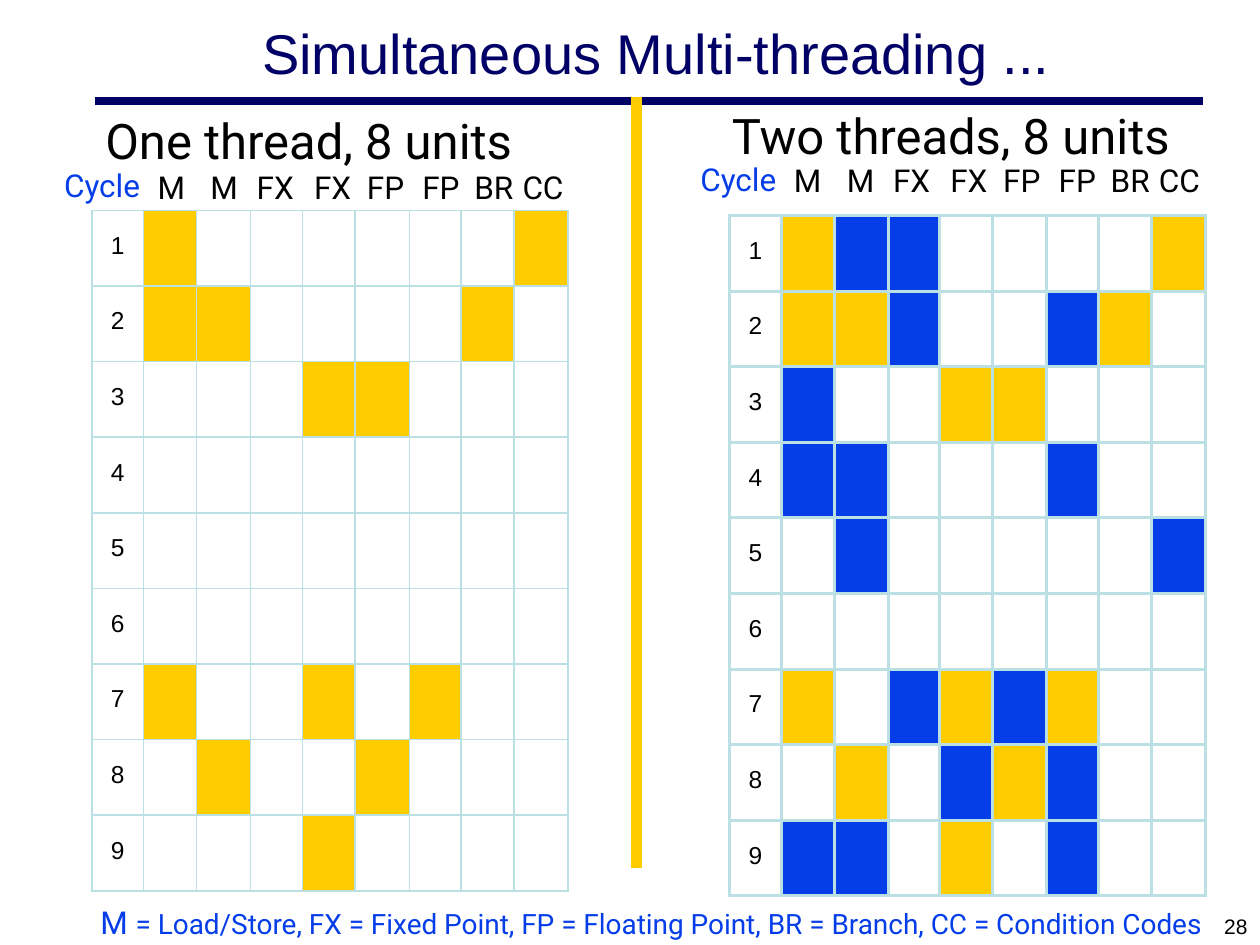
from pptx import Presentation
from pptx.dml.color import RGBColor
from pptx.enum.shapes import MSO_CONNECTOR
from pptx.enum.text import MSO_ANCHOR, PP_ALIGN
from pptx.oxml.ns import qn
from pptx.util import Inches, Pt
from lxml.etree import SubElement

NAVY = RGBColor(0x00, 0x00, 0x66)
BLUE = RGBColor(0x05, 0x3D, 0xE8)
YELLOW = RGBColor(0xFF, 0xCC, 0x00)
PALE = RGBColor(0xBB, 0xE0, 0xE3)
BLACK = RGBColor(0, 0, 0)
WHITE = RGBColor(0xFF, 0xFF, 0xFF)

# One row per cycle, one letter per unit: Y first thread, B second thread
SLOT_FILLS = {"Y": YELLOW, "B": BLUE, ".": WHITE}
ONE_THREAD = ["Y......Y", "YY....Y.", "...YY...", "........", "........",
              "........", "Y..Y.Y..", ".Y..Y...", "...Y...."]
TWO_THREADS = ["YBB....Y", "YYB..BY.", "B..YY...", "BB...B..", ".B.....B",
               "........", "Y.BYBY..", ".Y.BYB..", "BB.Y.B.."]

COLUMN_WIDTHS = [0.41, 0.42, 0.43] * 3
ROW_HEIGHT = 0.6

# Heading, left and width, relative to the left of the "Cycle" heading
UNIT_HEADINGS = [("M", 0.84, 0.34), ("M", 1.26, 0.34), ("FX", 1.61, 0.45),
                 ("FX", 2.05, 0.48), ("FP", 2.47, 0.48), ("FP", 2.91, 0.48),
                 ("BR", 3.3, 0.54), ("CC", 3.71, 0.5)]


def style_font(font, size, color, name):
    font.size, font.name = Pt(size), name
    font.color.rgb = color


def add_label(slide, box, text, size, color=BLACK, name="Roboto",
              align=PP_ALIGN.CENTER, anchor=MSO_ANCHOR.TOP,
              margins=(0, 0), line_spacing=None, wrap=True):
    label = slide.shapes.add_textbox(*map(Inches, box))
    frame = label.text_frame
    frame.word_wrap = wrap
    frame.vertical_anchor = anchor
    frame.margin_left = frame.margin_right = Inches(margins[0])
    frame.margin_top = frame.margin_bottom = Inches(margins[1])
    paragraph = frame.paragraphs[0]
    paragraph.text = text
    paragraph.alignment = align
    if line_spacing:
        paragraph.line_spacing = Pt(line_spacing)
    style_font(paragraph.font, size, color, name)
    return paragraph


def add_rule(slide, start, end, color, width):
    rule = slide.shapes.add_connector(
        MSO_CONNECTOR.STRAIGHT, *map(Inches, start + end))
    rule.line.color.rgb = color
    rule.line.width = Pt(width)
    SubElement(rule.line._get_or_add_ln().getparent(), qn("a:effectLst"))


def set_borders(cell, color, width):
    properties = cell._tc.get_or_add_tcPr()
    for side in ("a:lnL", "a:lnR", "a:lnT", "a:lnB"):
        border = SubElement(properties, qn(side), w=str(Pt(width)))
        fill = SubElement(border, qn("a:solidFill"))
        SubElement(fill, qn("a:srgbClr"), val=str(color))


def fill_cycle_cell(cell, cycle):
    cell.vertical_anchor = MSO_ANCHOR.MIDDLE
    cell.margin_left = cell.margin_right = Inches(0.09)
    cell.margin_top = cell.margin_bottom = Inches(0.04)
    paragraph = cell.text_frame.paragraphs[0]
    paragraph.text = str(cycle)
    paragraph.alignment = PP_ALIGN.CENTER
    paragraph.line_spacing = Pt(13)
    paragraph.space_before = Pt(4)
    style_font(paragraph.font, 14, BLACK, "Arial")


def add_schedule(slide, left, top, cycles, border_width):
    table = slide.shapes.add_table(
        len(cycles), len(COLUMN_WIDTHS), Inches(left), Inches(top),
        Inches(sum(COLUMN_WIDTHS)), Inches(ROW_HEIGHT * len(cycles))).table
    table.first_row = table.horz_banding = False
    for column, width in zip(table.columns, COLUMN_WIDTHS):
        column.width = Inches(width)
    for row, slots in enumerate(cycles):
        table.rows[row].height = Inches(ROW_HEIGHT)
        for column, slot in enumerate("." + slots):
            cell = table.cell(row, column)
            set_borders(cell, PALE, border_width)
            cell.fill.solid()
            cell.fill.fore_color.rgb = SLOT_FILLS[slot]
        fill_cycle_cell(table.cell(row, 0), row + 1)


def add_headings(slide, left, top):
    for unit, offset, width in UNIT_HEADINGS:
        add_label(slide, (left + offset, top, width, 0.3), unit, 18)
    add_label(slide, (left, top - 0.01, 0.92, 0.3), "Cycle", 18, BLUE)


def main():
    presentation = Presentation()
    presentation.slide_width = Inches(10)
    presentation.slide_height = Inches(7.5)
    slide = presentation.slides.add_slide(presentation.slide_layouts[6])

    # Title, rule and page number
    add_rule(slide, (0.75, 0.8), (9.55, 0.8), NAVY, 4.5)
    add_label(slide, (9.6, 7.2, 0.4, 0.3), "28", 12, name="Arial",
              align=PP_ALIGN.RIGHT, margins=(0.1, 0.05), wrap=False)
    add_label(slide, (0.92, 0.08, 8.58, 0.67),
              "Simultaneous Multi-threading ...", 32, NAVY, "Arial",
              anchor=MSO_ANCHOR.MIDDLE, margins=(0.1, 0.05))

    # One thread
    add_schedule(slide, 0.73, 1.67, ONE_THREAD, 1)
    add_headings(slide, 0.35, 1.33)
    add_label(slide, (0.25, 0.92, 4.4, 0.43), "One thread, 8 units", 28,
              line_spacing=30.6)

    # Two threads
    add_schedule(slide, 5.79, 1.71, TWO_THREADS, 2)
    add_headings(slide, 5.4, 1.28)
    add_label(slide, (5.25, 0.88, 4.59, 0.43), "Two threads, 8 units", 28,
              line_spacing=30.6)

    # Legend of the units
    legend = add_label(slide, (0.5, 7.17, 9.34, 0.3), "M ", 18, BLUE)
    meanings = legend.add_run()
    meanings.text = ("= Load/Store, FX = Fixed Point, FP = Floating Point, "
                     "BR = Branch, CC = Condition Codes")
    meanings.font.size = Pt(16)

    # Divider between the two schedules
    add_rule(slide, (5.05, 6.89), (5.05, 0.77), YELLOW, 6)

    presentation.save("out.pptx")


if __name__ == "__main__":
    main()
